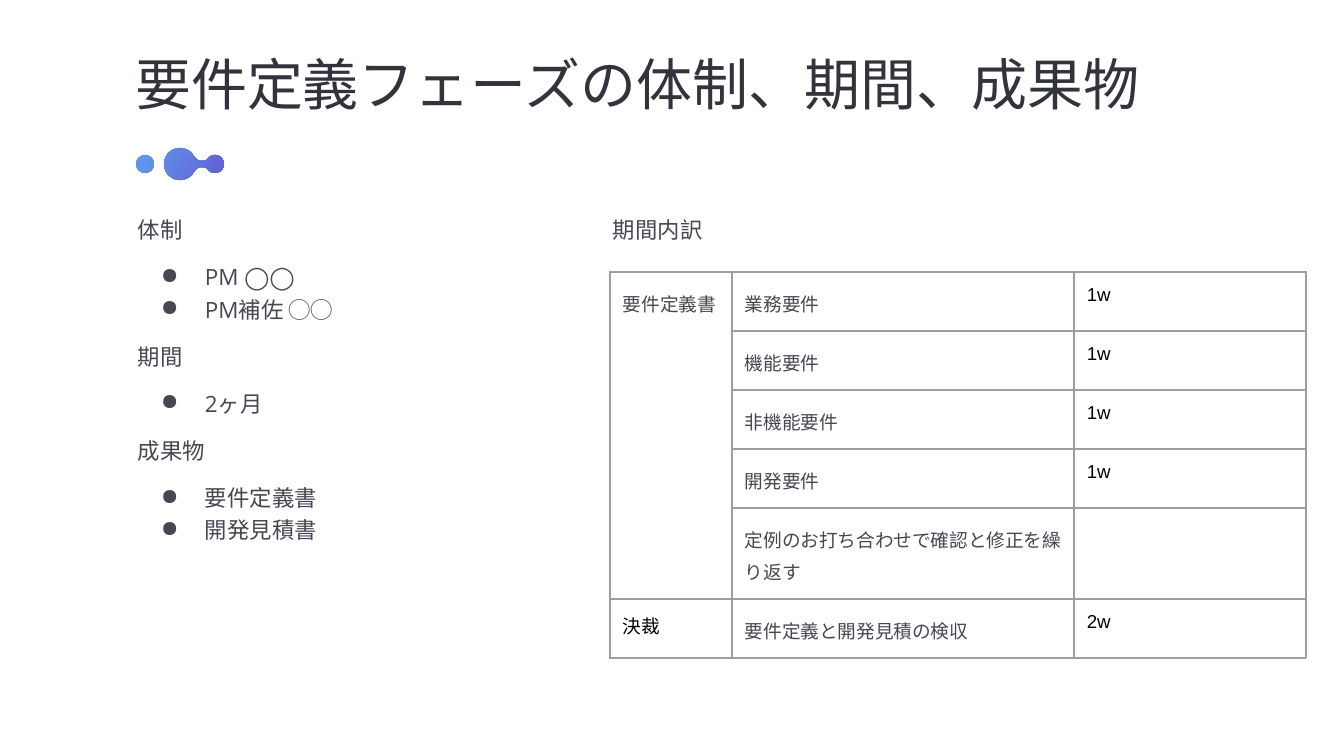
from math import atan2, cos, degrees, radians, sin

from lxml import etree
from pptx import Presentation
from pptx.dml.color import RGBColor
from pptx.enum.text import MSO_ANCHOR, MSO_AUTO_SIZE, PP_ALIGN
from pptx.oxml.ns import qn
from pptx.util import Emu, Pt

MIDDLE, TOP = MSO_ANCHOR.MIDDLE, MSO_ANCHOR.TOP
LEFT, NO_FIT = PP_ALIGN.LEFT, MSO_AUTO_SIZE.NONE

# Content
TITLE = "要件定義フェーズの体制、期間、成果物"
GROUPS = [
    ("体制", ["PM ◯◯", "PM補佐 ◯◯"]),
    ("期間", ["2ヶ月"]),
    ("成果物", ["要件定義書", "開発見積書"]),
]
HEAD = "期間内訳"
ROWS = [
    ("要件定義書", "業務要件", "1w"),
    ("", "機能要件", "1w"),
    ("", "非機能要件", "1w"),
    ("", "開発要件", "1w"),
    ("", "定例のお打ち合わせで確認と修正を繰り返す", ""),
    ("決裁", "要件定義と開発見積の検収", "2w"),
]
SPAN = 5  # rows under the first label

# Theme
THEME = {
    "title": {"font": "Roboto", "size": 30, "color": "31333D"},
    "body": {"font": "Open Sans", "size": 12, "color": "454752", "line": 1.2, "before": 8},
    "cell": {"font": "Open Sans", "size": 10, "color": "454752", "line": 1.2, "before": 8},
    "plain": {"font": "Arial", "size": 10, "color": "000000"},
    "border": "9E9E9E",
    "blend": ("5E9EEE", "635ED6"),
}

# Layout in px
WIDE, HIGH = 1344, 756
TITLE_BOX = (132, 48, 1059, 71)
LIST_BOX = (135, 208, 467, 347)
HEAD_BOX = (610, 208, 467, 63)
GRID = (610, 272)
COLS = [122, 342, 232]
TALLS = [59, 59, 59, 59, 91, 59]
INSET, PAD = 3, 13
INDENT, HANG = 67, 44


def px(n):
    return Emu(round(n * 914400 / 134.4))


def rgb(code):
    return RGBColor.from_string(code)


def write(para, text, *, font, size, color, line=None, before=None, bullet=False):
    para.alignment = LEFT
    if line:
        para.line_spacing = line
    if before is not None:
        para.space_before = Pt(before)
    run = para.add_run()
    run.text = text
    run.font.name, run.font.size = font, Pt(size)
    run.font.color.rgb = rgb(color)
    if bullet:
        props = para._p.get_or_add_pPr()
        props.set("marL", str(px(INDENT)))
        props.set("indent", str(-px(HANG)))
        tint = etree.SubElement(props, qn("a:buClr"))
        etree.SubElement(tint, qn("a:srgbClr"), val=color)
        etree.SubElement(props, qn("a:buChar"), char="●")


def set_up(frame, anchor=TOP):
    frame.word_wrap, frame.auto_size = True, NO_FIT
    frame.vertical_anchor = anchor
    frame.margin_left = frame.margin_right = px(INSET)
    frame.margin_top = frame.margin_bottom = px(INSET)
    return frame


def add_box(slide, box):
    return set_up(slide.shapes.add_textbox(*map(px, box)).text_frame)


def add_list(slide):
    frame = add_box(slide, LIST_BOX)
    para = frame.paragraphs[0]
    for n, (name, items) in enumerate(GROUPS):
        if n:
            para = frame.add_paragraph()
        write(para, name, **THEME["body"])
        for i, item in enumerate(items):
            look = THEME["body"] | {"before": 0 if i else 8, "bullet": True}
            write(frame.add_paragraph(), item, **look)


def arc(x, y, r, start, end, steps=24):
    turns = [radians(start + (end - start) * i / steps) for i in range(steps + 1)]
    return [(px(x + r * cos(t)), px(y + r * sin(t))) for t in turns]


def add_drops(slide):
    # A dot, then a large and a small disc joined by two neck arcs
    mid, big, small, neck = 164, 180, 215, 202
    rise = 12
    near = degrees(atan2(rise, neck - big))
    far = degrees(atan2(rise, small - neck))
    drop = (
        arc(big, mid, 16, near, 360 - near)
        + arc(neck, mid - rise, 9, 180 - near, far)
        + arc(small, mid, 9, 180 + far, 540 - far)
        + arc(neck, mid + rise, 9, 360 - far, 180 + near)
    )
    dot = arc(145, mid, 9, 0, 360)
    pen = slide.shapes.build_freeform(*drop[0], scale=1.0)
    pen.add_line_segments(drop[1:], close=True)
    pen.move_to(*dot[0])
    pen.add_line_segments(dot[1:], close=True)
    shape = pen.convert_to_shape()
    shape.shadow.inherit = False
    shape.line.fill.background()
    shape.fill.gradient()
    shape.fill.gradient_angle = 360 - 34
    for stop, code in zip(shape.fill.gradient_stops, THEME["blend"]):
        stop.color.rgb = rgb(code)


def style(cell):
    cell.margin_left = cell.margin_right = px(PAD)
    cell.margin_top = cell.margin_bottom = px(PAD)
    cell.vertical_anchor = TOP
    cell.fill.background()
    props = cell._tc.get_or_add_tcPr()
    for i, side in enumerate(("lnL", "lnR", "lnT", "lnB")):
        edge = etree.Element(qn("a:" + side), w=str(Pt(0.75)))
        fill = etree.SubElement(edge, qn("a:solidFill"))
        etree.SubElement(fill, qn("a:srgbClr"), val=THEME["border"])
        props.insert(i, edge)


def add_grid(slide):
    box = (*GRID, sum(COLS), sum(TALLS))
    table = slide.shapes.add_table(len(ROWS), len(COLS), *map(px, box)).table
    table.first_row = table.horz_banding = False
    for col, wide in zip(table.columns, COLS):
        col.width = px(wide)
    for r, (row, tall) in enumerate(zip(ROWS, TALLS)):
        table.rows[r].height = px(tall)
        for c, text in enumerate(row):
            cell = table.cell(r, c)
            style(cell)
            if text:
                plain = c == 2 or (c == 0 and r >= SPAN)
                look = THEME["plain" if plain else "cell"]
                write(cell.text_frame.paragraphs[0], text, **look)
    table.cell(0, 0).merge(table.cell(SPAN - 1, 0))


def main():
    deck = Presentation()
    deck.slide_width, deck.slide_height = px(WIDE), px(HIGH)
    slide = deck.slides.add_slide(deck.slide_layouts[5])

    # Title
    title = slide.shapes.title
    title.left, title.top, title.width, title.height = map(px, TITLE_BOX)
    frame = set_up(title.text_frame, MIDDLE)
    write(frame.paragraphs[0], TITLE, **THEME["title"])

    # Left list, ornament, and table with its heading
    add_list(slide)
    add_drops(slide)
    add_grid(slide)
    write(add_box(slide, HEAD_BOX).paragraphs[0], HEAD, **THEME["body"])

    deck.save("out.pptx")


if __name__ == "__main__":
    main()
